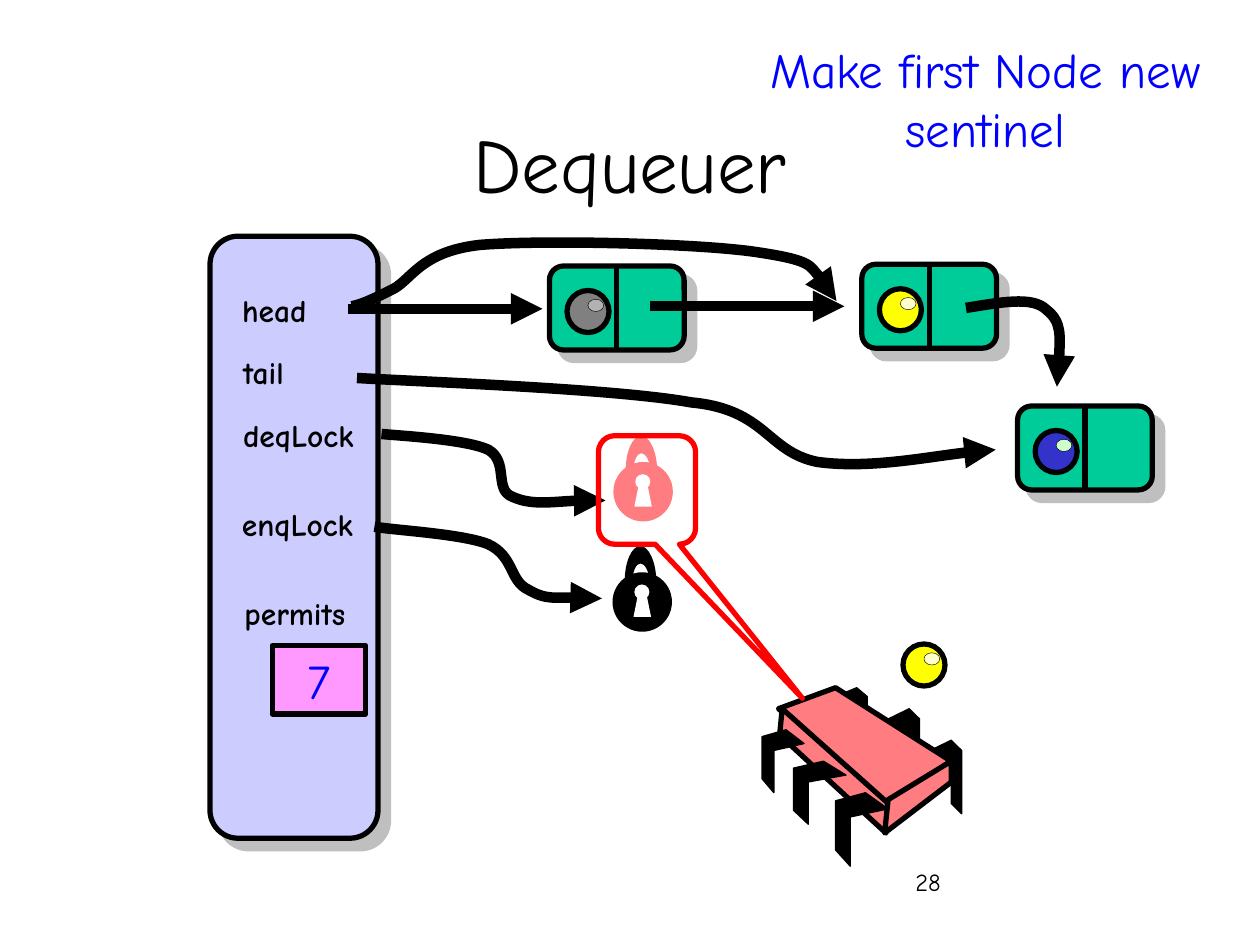
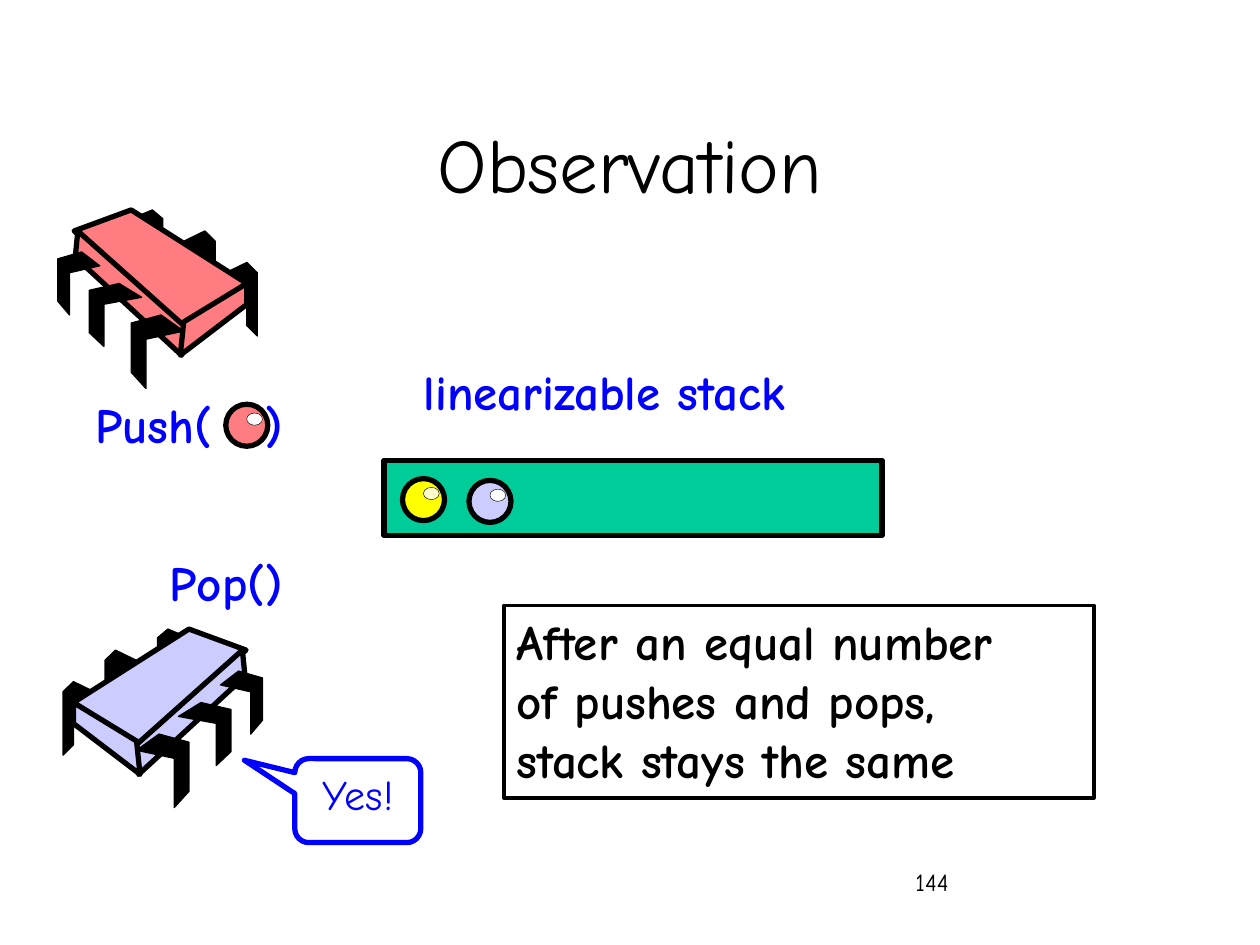
from lxml import etree
from pptx import Presentation
from pptx.dml.color import RGBColor
from pptx.enum import shapes as kinds, text as txt
from pptx.oxml.ns import qn
from pptx.util import Pt

FONT = "Comic Neue"
BLACK, WHITE, BLUE, RED = "000000", "FFFFFF", "0000FF", "FF0000"
GREEN, LILAC, SALMON, YELLOW = "00CC99", "CCCCFF", "FF7C80", "FFFF00"
PINK, GRAY, INDIGO = "FF99FF", "808080", "3333CC"
SHINE = {YELLOW: "FFFFCC", GRAY: "B2B2B2", INDIGO: "CCFFCC"}
KIND = kinds.MSO_SHAPE
LEFT, CENTER = txt.PP_ALIGN.LEFT, txt.PP_ALIGN.CENTER
TOP, MIDDLE = txt.MSO_ANCHOR.TOP, txt.MSO_ANCHOR.MIDDLE

# Chip outlines: legs as fractions of their box, faces in points from the chip's corner
FAR_LEG = [(0, .14), (.67, 0), (1, .14), (1, 1), (.67, .86), (.67, .29), (0, .43)]
NEAR_LEG = [(.57, 0), (1, .22), (.28, .33), (.28, 1), (0, .78), (0, .11)]
FAR_BOXES = [(96, 30, 18, 42), (72, 12, 18, 42), (42, 0, 18, 36)]
NEAR_BOXES = [(42, 60, 30, 42), (18, 42, 30, 36), (0, 24, 24, 36)]
CHIP_FACES = [
    [(42, 0), (108, 42), (70.8, 67), (9.4, 12)],
    [(11.5, 12), (72, 66), (70.8, 83), (10, 27)],
    [(108, 42), (108, 54), (70, 83), (72, 64)],
]
CHIP_WIDTH = 114

KEYHOLE = [(12, 40.5), (14.5, 28), (19.5, 28), (22, 40.5)]
SHACKLE = [(11.5, 20), (11.5, 14.5), (13.5, 10), (16, 10),
           (18.5, 10), (21, 14.5), (21, 20),
           (21, 20), (25, 20), (25, 20),
           (25, 9), (20.5, 0), (16, 0),
           (11, 0), (7, 9), (7, 20)]

DEQ_ARROW = [(218, 248), (228, 249), (266, 251), (279, 257), (291, 264),
             (282, 280), (293, 284), (304, 289), (335, 285), (346, 286)]
ENQ_ARROW = [(214, 301), (225, 303), (264, 305), (279, 311), (294, 318),
             (291, 332), (302, 337), (312, 343), (335, 341), (344, 342)]
NEXT_ARROW = [(552, 176), (571, 173), (590, 169), (598, 177),
              (607, 184), (606, 202), (604, 221)]
TAIL_ARROW = [(204, 216), (236, 218), (351, 222), (395, 230), (438, 234),
              (438, 258), (467, 264), (496, 268), (548, 258), (569, 257)]
HEAD_ARROW = [(201, 175), (206, 174), (211, 172), (223, 166), (235, 161),
              (239, 144), (274, 140), (309, 137), (398, 139), (432, 144),
              (466, 149), (472, 161), (478, 172)]


def rgb(color):
    return RGBColor.from_string(color)


def stroke(sp, color, width):
    sp.line.color.rgb = rgb(color)
    sp.line.width = Pt(width)


def paint(sp, fill=None, line=None, width=3):
    sp.shadow.inherit = False
    if fill:
        sp.fill.solid()
        sp.fill.fore_color.rgb = rgb(fill)
    else:
        sp.fill.background()
    if line:
        stroke(sp, line, width)
    else:
        sp.line.fill.background()
    return sp


def add(shapes, kind, box, fill=None, line=None, width=3):
    return paint(shapes.add_shape(kind, *map(Pt, box)), fill, line, width)


def cast_shadow(sp):
    effects = sp._element.spPr.find(qn("a:effectLst"))
    shadow = etree.SubElement(effects, qn("a:outerShdw"), dist=str(Pt(8.5)),
                              dir=str(45 * 60000), algn="ctr", rotWithShape="0")
    color = etree.SubElement(shadow, qn("a:srgbClr"), val=GRAY)
    etree.SubElement(color, qn("a:alpha"), val="50000")


def add_arrowhead(sp):
    etree.SubElement(sp._element.spPr.find(qn("a:ln")), qn("a:tailEnd"), type="triangle")


def write(sp, text, size, color=BLACK, bold=False, align=CENTER, anchor=TOP):
    tf = sp.text_frame
    tf.auto_size = txt.MSO_AUTO_SIZE.NONE
    tf.word_wrap = True
    tf.vertical_anchor = anchor
    tf.text = text
    for p in tf.paragraphs:
        p.alignment = align
        for r in p.runs:
            r.font.name = FONT
            r.font.size = Pt(size)
            r.font.bold = bold
            r.font.color.rgb = rgb(color)
    return sp


def label(s, box, text, size, color=BLACK, bold=False, align=LEFT):
    return write(s.shapes.add_textbox(*map(Pt, box)), text, size, color, bold, align)


def outline(shapes, points, close=True):
    (x, y), *rest = [(Pt(px), Pt(py)) for px, py in points]
    builder = shapes.build_freeform(x, y)
    builder.add_line_segments(rest, close=close)
    return builder.convert_to_shape()


def curve(shapes, points, close=False):
    """Draw a start point followed by Bézier triples."""
    sp = outline(shapes, points, close)
    steps = list(sp._element.iter(qn("a:lnTo")))
    for i in range(0, len(points) - 1, 3):
        bezier = etree.Element(qn("a:cubicBezTo"))
        steps[i].addprevious(bezier)
        for step in steps[i:i + 3]:
            bezier.append(step[0])
            step.getparent().remove(step)
    return sp


def shifted(points, x, y):
    return [(x + px, y + py) for px, py in points]


def curved_arrow(s, points):
    add_arrowhead(paint(curve(s.shapes, points), None, BLACK, 6))


def straight_line(s, start, end, width):
    c = s.shapes.add_connector(kinds.MSO_CONNECTOR.STRAIGHT, *map(Pt, start + end))
    stroke(c, BLACK, width)
    etree.SubElement(c._element.spPr, qn("a:effectLst"))
    return c


def ball(s, x, y, color):
    g = s.shapes.add_group_shape().shapes
    add(g, KIND.OVAL, (x, y, 24, 24), color, BLACK)
    add(g, KIND.OVAL, (x + 12, y + 5, 9, 7), SHINE.get(color, WHITE), BLACK, .25)


def node(s, x, y, color):
    box = add(s.shapes, KIND.ROUNDED_RECTANGLE, (x, y, 77, 48), GREEN, BLACK)
    cast_shadow(box)
    divider = straight_line(s, (x + 38.5, y), (x + 38.5, y + 48), 3)
    divider.begin_connect(box, 0)
    divider.end_connect(box, 2)
    ball(s, x + 10, y + 14, color)


def lock(s, x, y, color):
    g = s.shapes.add_group_shape().shapes
    add(g, KIND.OVAL, (x, y + 15, 34, 34), color)
    add(g, KIND.OVAL, (x + 12.5, y + 22, 8.6, 8.6), WHITE)
    paint(outline(g, shifted(KEYHOLE, x, y)), WHITE)
    paint(curve(g, shifted(SHACKLE, x, y), close=True), color)


def chip(s, x, y, color, mirrored=False):
    """Draw a six-legged thread; mirrored makes it face left."""
    g = s.shapes.add_group_shape().shapes

    def part(points, fill, width):
        if mirrored:
            points = [(CHIP_WIDTH - px, py) for px, py in points]
        paint(outline(g, shifted(points, x, y)), fill, BLACK, width)

    def legs(shape, boxes):
        for left, top, w, h in boxes:
            part([(left + fx * w, top + fy * h) for fx, fy in shape], BLACK, .75)

    legs(FAR_LEG, FAR_BOXES)
    for face in CHIP_FACES:
        part(face, color, 3)
    legs(NEAR_LEG, NEAR_BOXES)


def callout(s, box, tip, color):
    sp = add(s.shapes, KIND.ROUNDED_RECTANGULAR_CALLOUT, box, None, color)
    for i, value in enumerate((*tip, .167)):
        sp.adjustments[i] = value
    return sp


def queue_panel(s, x, y):
    panel = add(s.shapes, KIND.ROUNDED_RECTANGLE, (x, y, 96, 344), LILAC, BLACK)
    cast_shadow(panel)
    fields = [("head", 28, 55.5), ("tail", 63, 43), ("deqLock", 99, 83),
              ("enqLock", 150, 82), ("permits", 201, 79)]
    for name, top, width in fields:
        label(s, (x + 9, y + top, width, 29), name, 18, bold=True, align=CENTER)
    permits = add(s.shapes, KIND.RECTANGLE, (x + 35.5, y + 234, 53.5, 39), PINK, BLACK)
    write(permits, "7", 28, BLUE, anchor=MIDDLE)


def new_slide(prs, title, number):
    s = prs.slides.add_slide(prs.slide_layouts[5])
    sp = s.shapes.title
    sp.left, sp.top, sp.width, sp.height = map(Pt, (54, 48, 612, 90))
    write(sp, title, 44, anchor=MIDDLE)
    label(s, (516, 492, 150, 36), number, 14)
    return s


def dequeuer_slide(prs):
    s = new_slide(prs, "Dequeuer", "28")
    label(s, (430, 19, 266, 74), "Make first Node new sentinel", 28, BLUE, align=CENTER)
    queue_panel(s, 120, 135)
    for x, y, color in [(314, 152, GRAY), (492.5, 151, YELLOW), (581.5, 232, INDIGO)]:
        node(s, x, y, color)
    lock(s, 350.5, 249, SALMON)
    lock(s, 350, 312, BLACK)
    for points in (HEAD_ARROW, TAIL_ARROW, DEQ_ARROW, ENQ_ARROW, NEXT_ARROW):
        curved_arrow(s, points)
    for x, y in [(199, 176.5), (371.5, 175)]:
        add_arrowhead(straight_line(s, (x, y), (x + 111, y), 6))
    ball(s, 516, 368, YELLOW)
    chip(s, 435.5, 393, SALMON)
    callout(s, (342, 249, 55.5, 62), (1.6, 1.92), RED)


def observation_slide(prs):
    s = new_slide(prs, "Observation", "144")
    chip(s, 33, 120, SALMON)
    push = label(s, (47.5, 222, 130, 41), "Push(\t)", 28, BLUE, True)
    tabs = etree.SubElement(push.text_frame.paragraphs[0]._p.get_or_add_pPr(), qn("a:tabLst"))
    etree.SubElement(tabs, qn("a:tab"), pos=str(Pt(97)), algn="l")
    ball(s, 129, 231, SALMON)

    label(s, (90, 312, 80, 41), "Pop()", 28, BLUE, True)
    chip(s, 36, 359.5, LILAC, mirrored=True)
    reply = callout(s, (168.5, 433.5, 72, 48), (-.9, -.48), BLUE)
    write(reply, "Yes!", 24, BLUE)

    label(s, (235, 203, 251, 41), "linearizable stack", 28, BLUE, True)
    add(s.shapes, KIND.RECTANGLE, (219.5, 263, 284.5, 43), GREEN, BLACK)
    ball(s, 230, 273.5, YELLOW)
    ball(s, 268, 274.5, LILAC)

    note = add(s.shapes, KIND.RECTANGLE, (288, 346, 337, 110), WHITE, BLACK, 2.25)
    write(note, "After an equal number\nof pushes and pops,\nstack stays the same",
          28, bold=True, align=LEFT)


def main():
    prs = Presentation()
    prs.slide_width, prs.slide_height = Pt(720), Pt(540)
    dequeuer_slide(prs)
    observation_slide(prs)
    prs.save("out.pptx")


if __name__ == "__main__":
    main()
